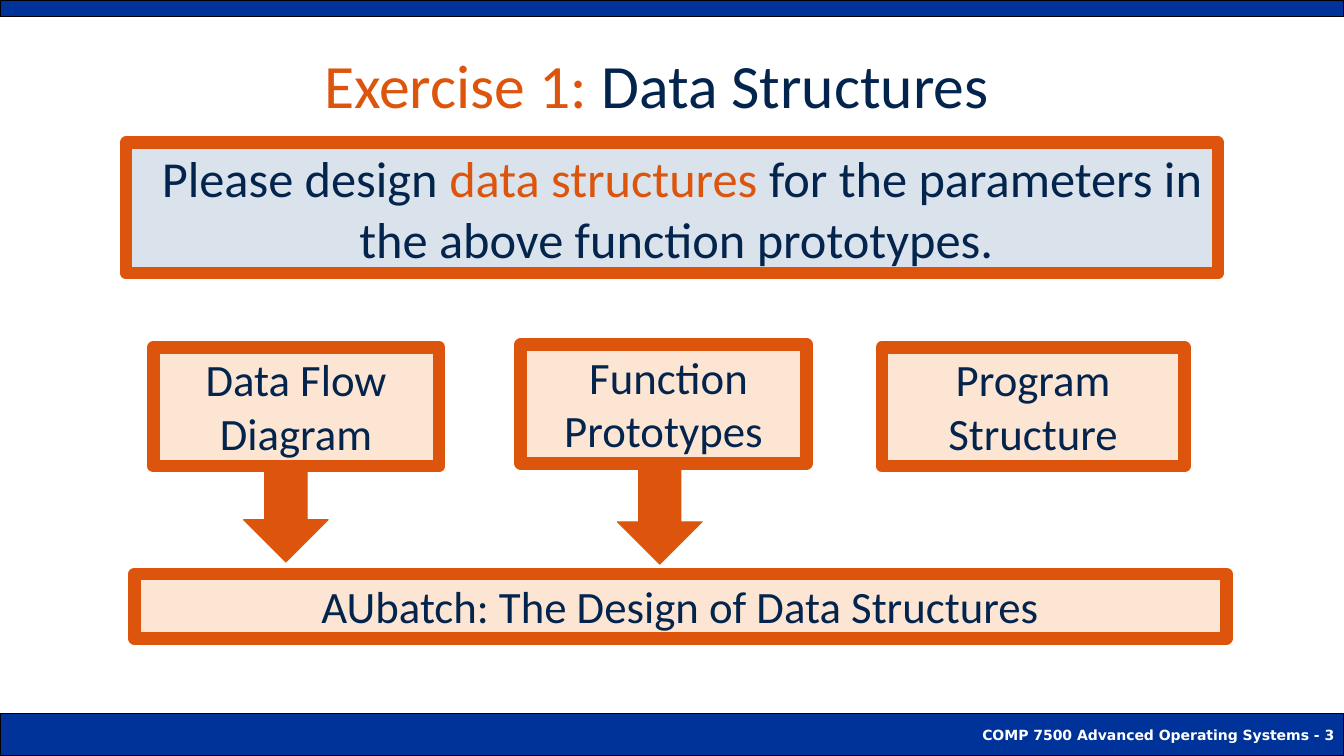
from lxml.etree import SubElement
from pptx import Presentation
from pptx.dml.color import RGBColor
from pptx.enum.shapes import MSO_SHAPE as SHAPE
from pptx.enum.text import MSO_ANCHOR as ANCHOR, PP_ALIGN as ALIGN
from pptx.oxml.ns import qn
from pptx.util import Pt

NAVY, ORANGE, PEACH, STEEL = "03244D", "DD550C", "F68026", "496E9C"
BLUE, BLACK, WHITE = "003399", "000000", "FFFFFF"


def paint(fmt, color):
    """Give a fill or font one solid colour."""
    if hasattr(fmt, "solid"):
        fmt.solid()
        fmt.fore_color.rgb = RGBColor.from_string(color)
    else:
        fmt.color.rgb = RGBColor.from_string(color)


def add_block(s, kind, box, fill, line, width=0.75, alpha=None):
    """Add a filled, outlined shape in the box, with optional opacity in percent."""
    sp = s.shapes.add_shape(kind, *map(Pt, box))
    sp.shadow.inherit = False
    paint(sp.fill, fill)
    paint(sp.line.fill, line)
    sp.line.width = Pt(width)
    if alpha:
        clr = sp.fill._xPr.find(qn("a:solidFill"))[0]
        SubElement(clr, qn("a:alpha")).set("val", str(alpha * 1000))
    return sp


def write(p, runs, size, align=ALIGN.CENTER, indent=(0, 0), font="Calibri", bold=False):
    """Fill a paragraph with (text, colour) runs sharing one font."""
    p.alignment = align
    pPr = p._p.get_or_add_pPr()
    pPr.set("marL", str(Pt(indent[0])))
    pPr.set("indent", str(Pt(indent[1])))
    p.font.size, p.font.name, p.font.bold = Pt(size), font, bold
    for text, color in runs:
        r = p.add_run()
        r.text = text
        paint(r.font, color)


def add_bands(s, width, height):
    """Draw the top band and the footer band with its course line."""
    add_block(s, SHAPE.RECTANGLE, (0, 0, width, 12), BLUE, BLACK)
    sp = add_block(s, SHAPE.RECTANGLE, (0, height - 30, width, 30), BLUE, BLACK)
    tf = sp.text_frame
    tf.word_wrap = False
    tf.vertical_anchor = ANCHOR.MIDDLE
    write(tf.paragraphs[0], [("COMP 7500 Advanced Operating Systems - 3", WHITE)],
          10, ALIGN.RIGHT, font="DejaVu Sans", bold=True)


def add_title(s, box):
    """Place the two-colour title."""
    tf = s.shapes.add_textbox(*map(Pt, box)).text_frame
    tf.word_wrap = True
    write(tf.paragraphs[0], [("Exercise 1: ", ORANGE), ("Data Structures ", NAVY)], 44)


def add_task(s, box):
    """Place the exercise statement panel."""
    tf = add_block(s, SHAPE.RECTANGLE, box, STEEL, ORANGE, 9, 20).text_frame
    tf.word_wrap = True
    tf.vertical_anchor = ANCHOR.MIDDLE
    tf.margin_left = tf.margin_right = Pt(6)
    tf.margin_top = tf.margin_bottom = Pt(3)
    write(tf.paragraphs[0],
          [("Please design ", NAVY), ("data structures ", ORANGE),
           ("for the parameters in the above function prototypes. ", NAVY)],
          36, indent=(14.4, 0))


def add_step(s, box, lines, arrow=None):
    """Place a design step and, at an offset from its corner, a down arrow."""
    tf = add_block(s, SHAPE.RECTANGLE, box, PEACH, ORANGE, 9, 20).text_frame
    tf.word_wrap = True
    tf.vertical_anchor = ANCHOR.TOP
    for i, line in enumerate(lines):
        p = tf.add_paragraph() if i else tf.paragraphs[0]
        write(p, [(line, NAVY)], 32, indent=(27, -27))
    if arrow:
        x, y = box[0] + arrow[0], box[1] + arrow[1]
        add_block(s, SHAPE.DOWN_ARROW, (x, y, 60.5, 67.5), ORANGE, ORANGE)


def main():
    """Build the slide and save it."""
    prs = Presentation()
    prs.slide_width, prs.slide_height = Pt(960), Pt(540)
    s = prs.slides.add_slide(prs.slide_layouts[6])
    add_bands(s, 960, 540)
    add_title(s, (138, 30, 672, 60))
    add_task(s, (90, 102, 780, 93))
    add_step(s, (96, 410, 780, 46), ["AUbatch: The Design of Data Structures"])
    add_step(s, (372, 246, 204, 85), [" Function", "Prototypes"], (69, 89.5))
    add_step(s, (630, 248, 216, 85), ["Program", "Structure"])
    add_step(s, (109.5, 248, 204, 85), ["Data Flow", "Diagram"], (64.5, 86))
    prs.save("out.pptx")


if __name__ == "__main__":
    main()
